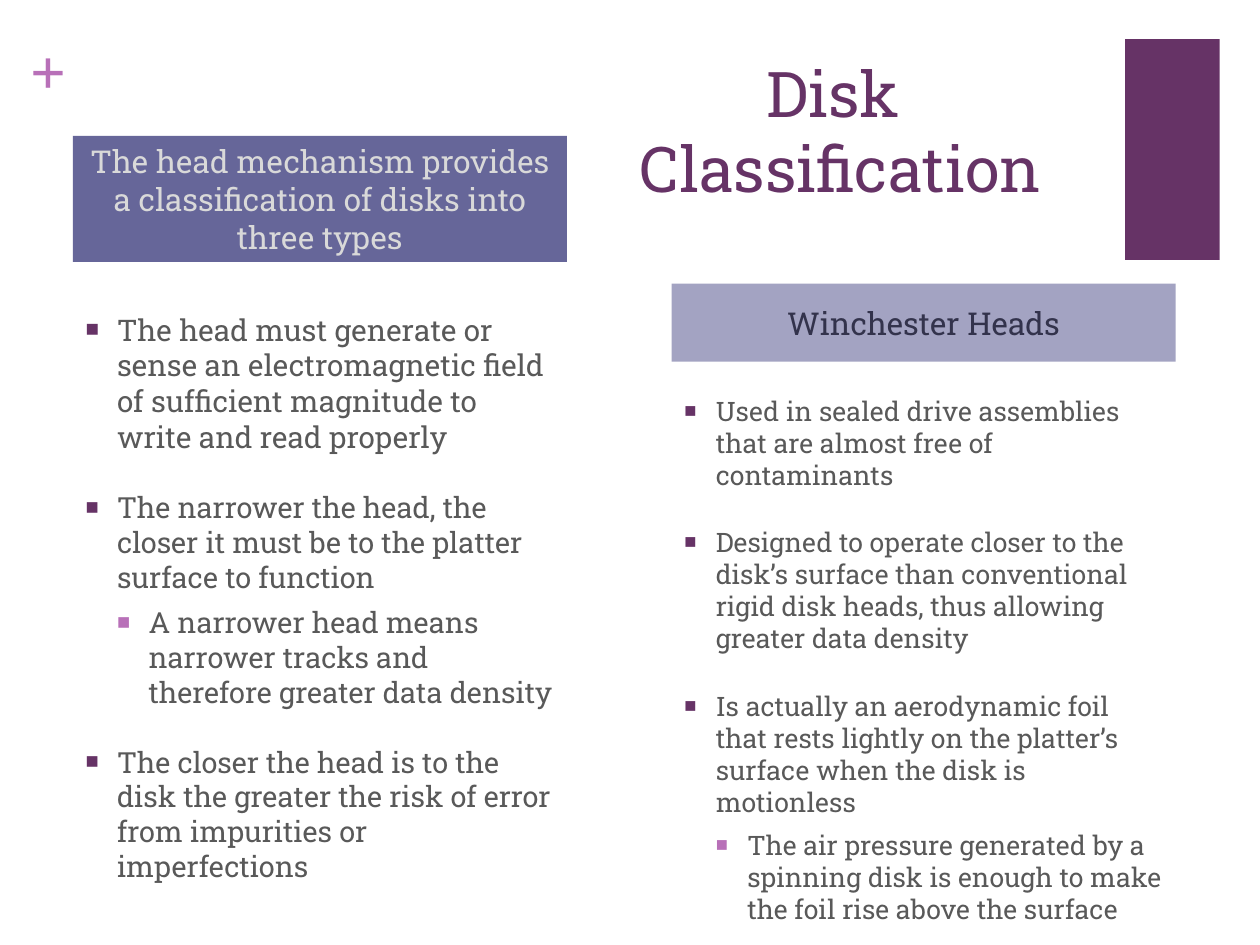
from dataclasses import dataclass

from lxml import etree
from pptx import Presentation
from pptx.dml.color import RGBColor
from pptx.enum.shapes import MSO_SHAPE
from pptx.enum.text import MSO_ANCHOR, MSO_AUTO_SIZE, PP_ALIGN
from pptx.oxml.ns import qn
from pptx.util import Cm, Pt

RECT = MSO_SHAPE.RECTANGLE
TOP, MIDDLE = MSO_ANCHOR.TOP, MSO_ANCHOR.MIDDLE
FIXED = MSO_AUTO_SIZE.NONE
LEFT, CENTER = PP_ALIGN.LEFT, PP_ALIGN.CENTER
SLAB = "Roboto Slab"
COLORS = {
    "plum": "663366",
    "orchid": "B870B8",
    "gray": "595959",
    "slate": "666699",
    "lilac": "A3A3C2",
    "pale": "D9D9D9",
    "ink": "33334C",
}


@dataclass
class Box:
    x: float
    y: float
    w: float
    h: float


@dataclass
class Item:
    text: str
    size: float
    level: int = 0


@dataclass
class Head:
    slot: int
    box: Box
    text: str
    fill: str
    ink: str


@dataclass
class Panel:
    slot: int
    box: Box
    items: list[Item]


HEADS = [
    Head(1, Box(1.47, 2.74, 9.96, 2.54),
         "The head mechanism provides a classification of disks into three types",
         "slate", "pale"),
    Head(3, Box(13.54, 5.72, 10.16, 1.57), "Winchester Heads", "lilac", "ink"),
]
PANELS = [
    Panel(2, Box(1.47, 6.15, 9.96, 12.37), [
        Item("The head must generate or sense an electromagnetic field of "
             "sufficient magnitude to write and read properly", 17),
        Item("The narrower the head, the closer it must be to the platter "
             "surface to function", 16.6),
        Item("A narrower head means narrower tracks and therefore greater "
             "data density", 16.6, 1),
        Item("The closer the head is to the disk the greater the risk of "
             "error from impurities or imperfections", 16.6),
    ]),
    Panel(4, Box(13.54, 7.82, 10.21, 10.46), [
        Item("Used in sealed drive assemblies that are almost free of "
             "contaminants", 15.3),
        Item("Designed to operate closer to the disk’s surface than "
             "conventional rigid disk heads, thus allowing greater data "
             "density", 15.3),
        Item("Is actually an aerodynamic foil that rests lightly on the "
             "platter’s surface when the disk is motionless", 15.3),
        Item("The air pressure generated by a spinning disk is enough to "
             "make the foil rise above the surface", 15.3, 1),
    ]),
]


def color(name: str) -> RGBColor:
    return RGBColor.from_string(COLORS[name])


def place(shape, box: Box) -> None:
    shape.left, shape.top = Cm(box.x), Cm(box.y)
    shape.width, shape.height = Cm(box.w), Cm(box.h)


def paint(shape, name: str) -> None:
    shape.fill.solid()
    shape.fill.fore_color.rgb = color(name)
    shape.line.fill.background()


def setup(frame, anchor) -> None:
    frame.word_wrap = True
    frame.auto_size = FIXED
    frame.vertical_anchor = anchor


def style(para, size: float, ink: str, face: str = SLAB, bold: bool = False) -> None:
    font = para.font
    font.name, font.size, font.bold = face, Pt(size), bold
    font.color.rgb = color(ink)


def bullet(para, level: int) -> None:
    props = para._p.get_or_add_pPr()
    props.set("marL", str(Cm(0.635 * (level + 1))))
    props.set("indent", str(Cm(-0.635)))
    tint = etree.SubElement(props, qn("a:buClr"))
    shade = COLORS["orchid" if level else "plum"]
    etree.SubElement(tint, qn("a:srgbClr"), val=shade)
    etree.SubElement(props, qn("a:buSzPct"), val="75000")
    etree.SubElement(props, qn("a:buChar"), char="■")


def add_head(slide, head: Head) -> None:
    shape = slide.placeholders[head.slot]
    place(shape, head.box)
    paint(shape, head.fill)
    frame = shape.text_frame
    setup(frame, MIDDLE)
    frame.margin_top = frame.margin_bottom = 0
    para = frame.paragraphs[0]
    para.text = head.text
    para.alignment = CENTER
    para.space_before = Pt(0)
    style(para, 18, head.ink)


def add_panel(slide, panel: Panel) -> None:
    shape = slide.placeholders[panel.slot]
    place(shape, panel.box)
    frame = shape.text_frame
    setup(frame, TOP)
    for i, item in enumerate(panel.items):
        para = frame.add_paragraph() if i else frame.paragraphs[0]
        para.text = item.text
        para.level = item.level
        para.alignment = LEFT
        para.space_before = Pt(6 if item.level else 20)
        bullet(para, item.level)
        style(para, item.size, "gray")


def add_title(slide) -> None:
    title = slide.shapes.title
    place(title, Box(11.23, 1.07, 11.43, 3.1))
    setup(title.text_frame, MIDDLE)
    para = title.text_frame.paragraphs[0]
    para.text = "Disk \vClassification"
    para.alignment = CENTER
    style(para, 36, "plum")


def add_decor(slide) -> None:
    block = slide.shapes.add_shape(RECT, Cm(22.68), Cm(0.79), Cm(1.91), Cm(4.45))
    block.shadow.inherit = False
    paint(block, "plum")
    plus = slide.shapes.add_textbox(Cm(0.61), Cm(0.64), Cm(0.74), Cm(1.55))
    frame = plus.text_frame
    setup(frame, TOP)
    frame.margin_left = frame.margin_right = 0
    frame.margin_top = frame.margin_bottom = 0
    para = frame.paragraphs[0]
    para.text = "+"
    style(para, 36, "orchid", "Times New Roman", True)


def main() -> None:
    deck = Presentation()
    deck.slide_width, deck.slide_height = Cm(25.4), Cm(19.05)
    slide = deck.slides.add_slide(deck.slide_layouts[4])
    add_decor(slide)
    add_title(slide)
    for panel in PANELS:
        add_panel(slide, panel)
    for head in HEADS:
        add_head(slide, head)
    deck.save("out.pptx")


if __name__ == "__main__":
    main()
